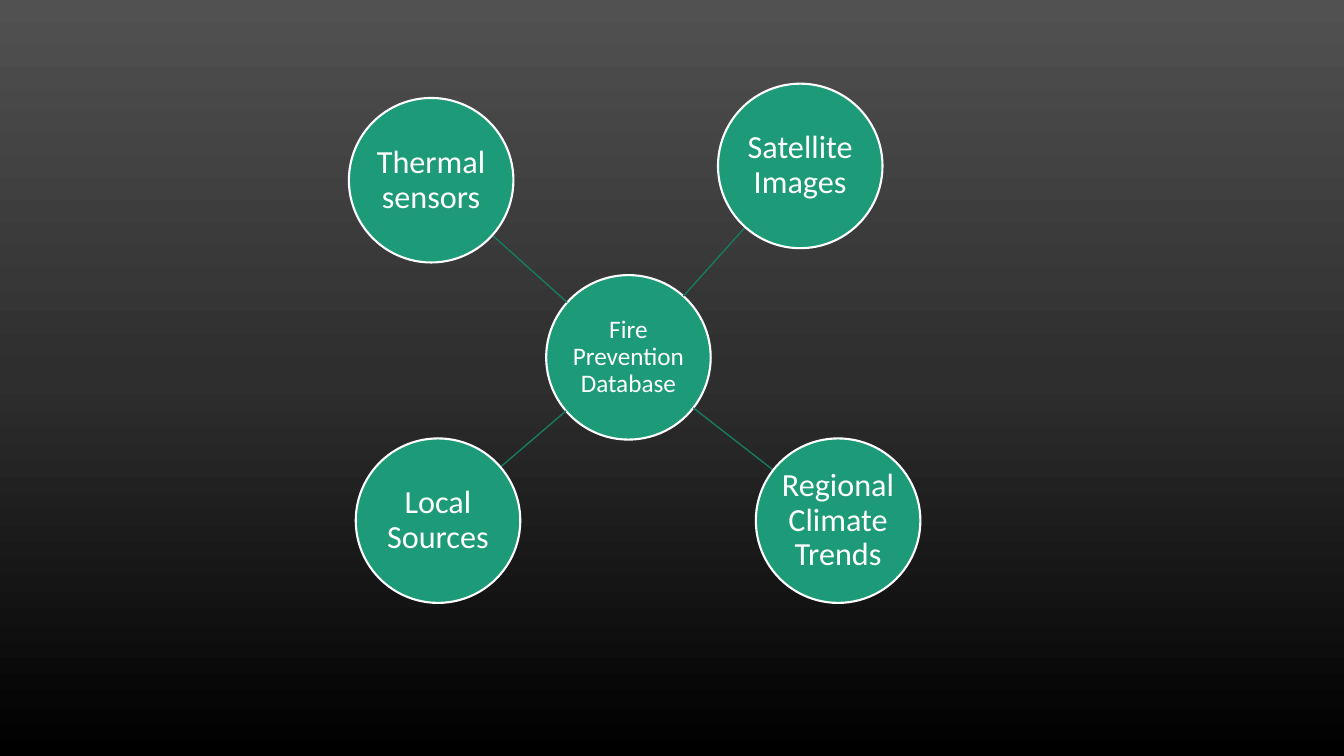
import math
from copy import deepcopy
from dataclasses import dataclass

from pptx import Presentation
from pptx import util as u
from pptx.dml.color import RGBColor
from pptx.enum import shapes, text
from pptx.oxml.ns import qn
from pptx.oxml.xmlchemy import OxmlElement
from pptx.slide import Slide

SLIDE_W = u.Inches(13.33)
SLIDE_H = u.Inches(7.5)
DIAMETER = int(SLIDE_H * 21.76 / 100)
COLOURS = {
    "top": "515151",
    "middle": "2E2E2E",
    "bottom": "000000",
    "circle": "1D9A78",
    "spoke": "177B60",
    "white": "FFFFFF",
}


@dataclass(frozen=True)
class Node:
    """A labelled circle; its centre is in percent of slide width and height."""
    label: str
    across: float
    down: float
    size: float = 23

    @property
    def centre(self) -> tuple[float, float]:
        return SLIDE_W * self.across / 100, SLIDE_H * self.down / 100


DATABASE = Node("Fire Prevention Database", 46.76, 47.27, size=18)
INPUTS = [
    Node("Satellite Images", 59.54, 21.95),
    Node("Regional Climate Trends", 62.36, 68.87),
    Node("Thermal sensors", 32.08, 23.84),
    Node("Local Sources", 32.59, 68.87),
]


def colour(name: str) -> RGBColor:
    return RGBColor.from_string(COLOURS[name])


def paint_background(slide: Slide) -> None:
    fill = slide.background.fill
    fill.gradient()
    fill.gradient_angle = 270
    stop_list = slide.element.find(".//" + qn("a:gsLst"))
    stop_list.append(deepcopy(stop_list[-1]))
    shades = ("top", "middle", "bottom")
    for stop, name, position in zip(fill.gradient_stops, shades, (0, 0.5, 1)):
        stop.color.rgb = colour(name)
        stop.position = position


def add_spoke(slide: Slide, hub: Node, node: Node) -> None:
    """Join the rims of two circles along the line between their centres."""
    (x1, y1), (x2, y2) = hub.centre, node.centre
    share = DIAMETER / 2 / math.hypot(x2 - x1, y2 - y1)
    dx, dy = (x2 - x1) * share, (y2 - y1) * share
    ends = [int(v) for v in (x1 + dx, y1 + dy, x2 - dx, y2 - dy)]
    spoke = slide.shapes.add_connector(shapes.MSO_CONNECTOR.STRAIGHT, *ends)
    spoke.line.color.rgb = colour("spoke")
    spoke.line.width = u.Pt(1)
    spoke._element.spPr.append(OxmlElement("a:effectLst"))


def add_circle(slide: Slide, node: Node) -> None:
    left, top = (int(c - DIAMETER / 2) for c in node.centre)
    circle = slide.shapes.add_shape(
        shapes.MSO_SHAPE.OVAL, left, top, DIAMETER, DIAMETER)
    circle.shadow.inherit = False
    circle.fill.solid()
    circle.fill.fore_color.rgb = colour("circle")
    circle.line.color.rgb = colour("white")
    circle.line.width = u.Pt(1.5)

    frame = circle.text_frame
    frame.word_wrap = True
    frame.vertical_anchor = text.MSO_ANCHOR.MIDDLE
    frame.margin_left = frame.margin_right = 0
    frame.margin_top = frame.margin_bottom = 0
    paragraph = frame.paragraphs[0]
    paragraph.alignment = text.PP_ALIGN.CENTER
    paragraph.line_spacing = 0.9
    run = paragraph.add_run()
    run.text = node.label
    run.font.name = "Calibri"
    run.font.size = u.Pt(node.size)
    run.font.color.rgb = colour("white")


def main() -> None:
    deck = Presentation()
    deck.slide_width, deck.slide_height = SLIDE_W, SLIDE_H
    slide = deck.slides.add_slide(deck.slide_layouts.get_by_name("Blank"))
    paint_background(slide)
    add_circle(slide, DATABASE)
    for node in INPUTS:
        add_spoke(slide, DATABASE, node)
        add_circle(slide, node)
    deck.save("out.pptx")


if __name__ == "__main__":
    main()
